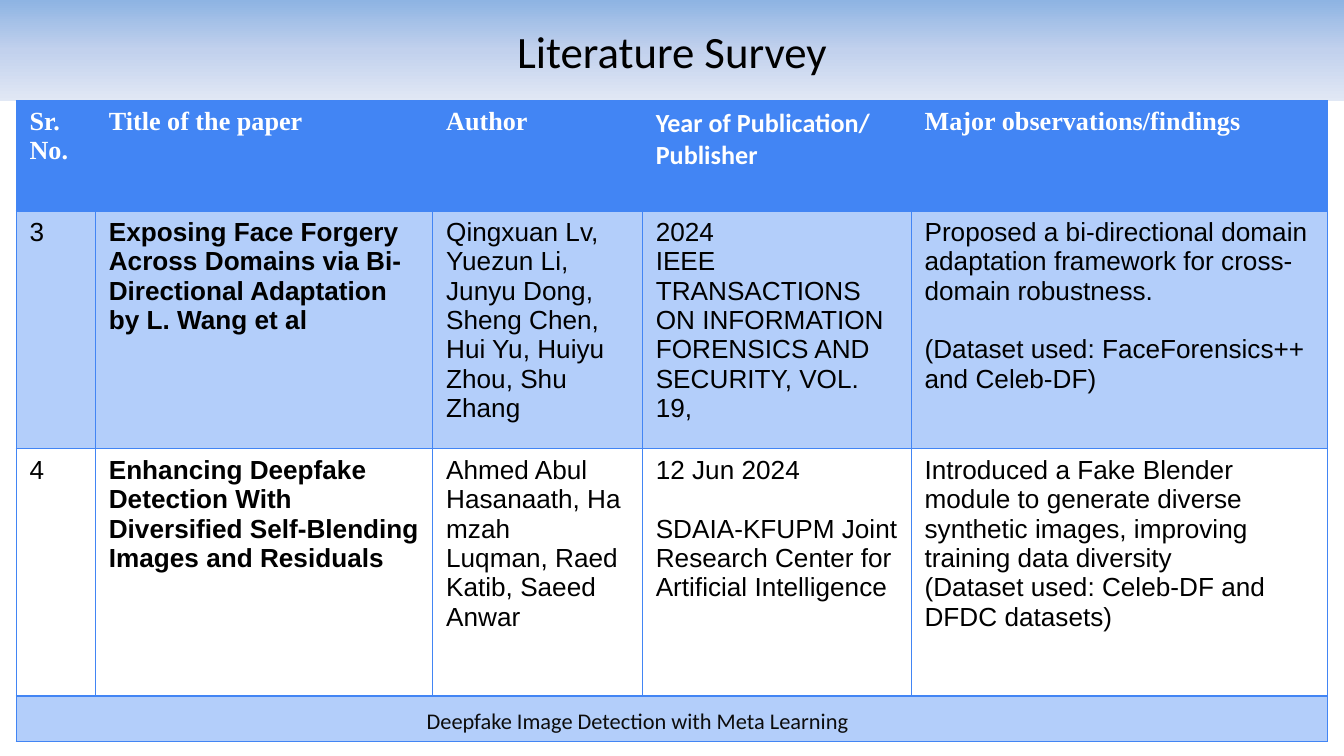
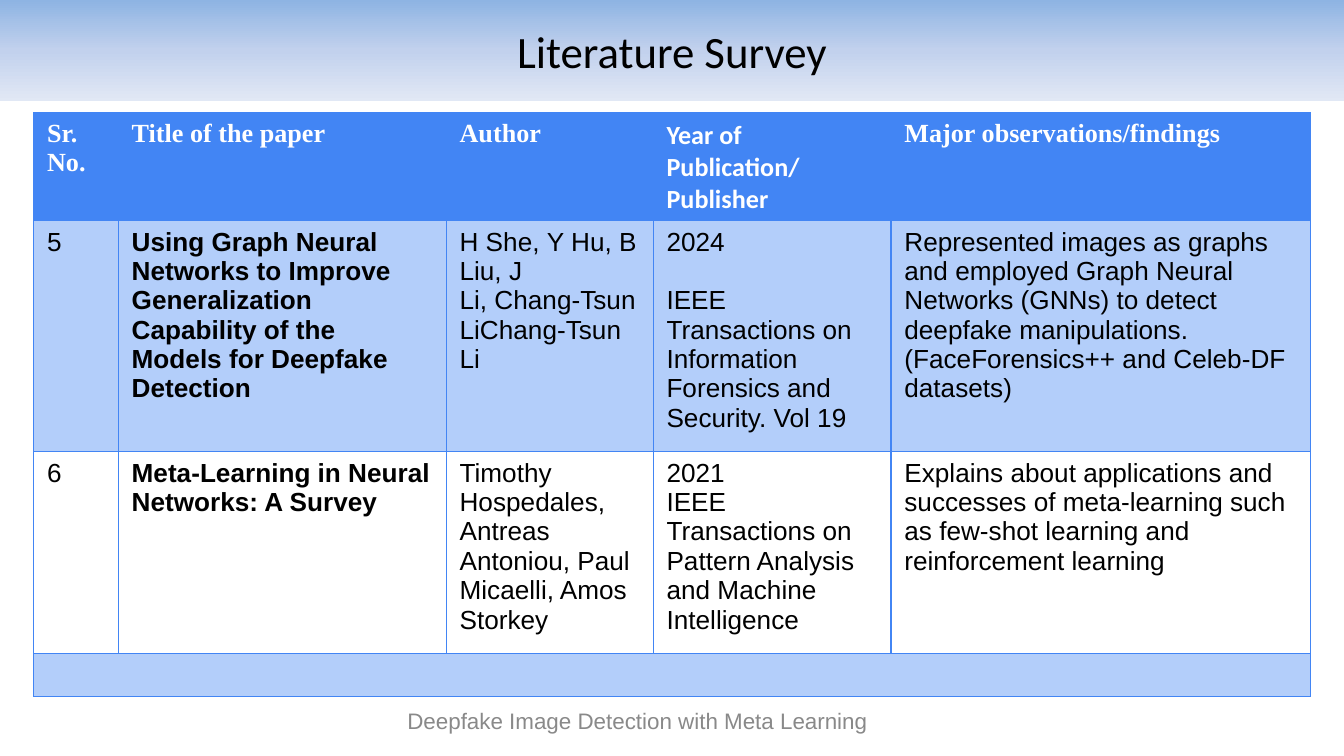
from copy import deepcopy

from lxml import etree
from pptx import Presentation, util as u
from pptx.dml import color
from pptx.enum import shapes, text
from pptx.oxml import ns

BLUE, BLACK, WHITE = "4285F4", "000000", "FFFFFF"
BAND_STOPS = [(0, "8EB4E3"), (0.5, "C2D1ED"), (1, "E1E8F5")]
BAND_OPACITY = 40
BODY_SIZE = 14
BLANK_LINE = 15.75
HEADERS = [
    ("Sr. No.", "Times New Roman"),
    ("Title of the paper", "Times New Roman"),
    ("Author", "Times New Roman"),
    ("Year of Publication/ Publisher", "Calibri"),
    ("Major observations/findings", "Times New Roman"),
]
TITLE_COLUMN = 1
NO_BREAK_SPACE = chr(160)

SURVEYS = [
    {
        "left": 0.12,
        "top": 0.75,
        "columns": [0.59, 2.51, 1.56, 2, 3.1],
        "rows": [0.82, 1.77, 1.84, 0.34],
        "footer": ("Calibri", "0C0C0C"),
        "papers": [
            [
                "3",
                "Exposing Face Forgery Across Domains via Bi-Directional Adaptation by L. Wang et al",
                "Qingxuan Lv, Yuezun Li, Junyu Dong, Sheng Chen, Hui Yu, Huiyu Zhou, Shu Zhang",
                "2024\nIEEE TRANSACTIONS ON INFORMATION FORENSICS AND SECURITY, VOL. 19,",
                "Proposed a bi-directional domain adaptation framework for cross-domain robustness."
                "\n\n(Dataset used: FaceForensics++ and Celeb-DF)",
            ],
            [
                "4",
                "Enhancing Deepfake Detection With Diversified Self-Blending Images and Residuals",
                NO_BREAK_SPACE.join(
                    ["Ahmed Abul Hasanaath,", "Hamzah Luqman,", "Raed Katib,", "Saeed Anwar"]
                ),
                "12 Jun 2024\n\nSDAIA-KFUPM Joint Research Center for Artificial Intelligence",
                "Introduced a Fake Blender module to generate diverse synthetic images, "
                "improving training data diversity\n(Dataset used: Celeb-DF and DFDC datasets)",
            ],
        ],
    },
    {
        "left": 0.25,
        "top": 0.84,
        "columns": [0.63, 2.44, 1.54, 1.77, 3.12],
        "rows": [0.69, 1.3, 1.3, 0.32],
        "footer": ("Arial", "898989"),
        "papers": [
            [
                "5",
                "Using Graph Neural Networks to Improve Generalization Capability "
                "of the Models for Deepfake Detection",
                NO_BREAK_SPACE.join(
                    ["H She,", "Y Hu,", "B Liu,", "J Li,", "Chang-Tsun LiChang-Tsun Li"]
                ),
                "2024\n\nIEEE Transactions on Information Forensics and Security. Vol 19",
                "Represented images as graphs and employed Graph Neural Networks (GNNs) "
                "to detect deepfake manipulations.\n(FaceForensics++ and Celeb-DF datasets)",
            ],
            [
                "6",
                "Meta-Learning in Neural Networks: A Survey",
                "Timothy Hospedales, Antreas Antoniou, Paul Micaelli, Amos Storkey",
                "2021\nIEEE Transactions on Pattern Analysis and Machine Intelligence",
                "Explains about applications and successes of meta-learning "
                "such as few-shot learning and reinforcement learning",
            ],
        ],
    },
]


def rgb(hex_string):
    return color.RGBColor.from_string(hex_string)


def add_run(paragraph, words, font, size, hex_color, bold=False):
    run = paragraph.add_run()
    run.text = words
    run.font.name = font
    run.font.size = u.Pt(size)
    run.font.bold = bold
    run.font.color.rgb = rgb(hex_color)


def write_centred(shape, words, font, size, hex_color):
    frame = shape.text_frame
    frame.word_wrap = True
    frame.vertical_anchor = text.MSO_ANCHOR.MIDDLE
    paragraph = frame.paragraphs[0]
    paragraph.alignment = text.PP_ALIGN.CENTER
    add_run(paragraph, words, font, size, hex_color)


def add_title_band(slide, words):
    band = slide.shapes.add_shape(
        shapes.MSO_SHAPE.RECTANGLE, 0, 0, u.Inches(10), u.Inches(0.75)
    )
    band.shadow.inherit = False
    band.line.fill.background()
    band.fill.gradient()
    band.fill.gradient_angle = 270
    stop_list = band.element.spPr.find(".//" + ns.qn("a:gsLst"))
    stop_list.append(deepcopy(stop_list[0]))
    for stop, (position, hex_color) in zip(band.fill.gradient_stops, BAND_STOPS):
        stop.position = position
        stop.color.rgb = rgb(hex_color)
    write_centred(band, words, "Calibri", 24, BLACK)


def add_footer(slide, words, font, hex_color):
    box = slide.shapes.add_textbox(
        u.Inches(0.82), u.Inches(5.21), u.Inches(7.85), u.Inches(0.3)
    )
    write_centred(box, words, font, 12, hex_color)


def set_borders(cell):
    properties = cell._tc.get_or_add_tcPr()
    for index, side in enumerate(("lnL", "lnR", "lnT", "lnB")):
        line = etree.Element(ns.qn(f"a:{side}"), w=str(u.Pt(0.75)))
        fill = etree.SubElement(line, ns.qn("a:solidFill"))
        etree.SubElement(fill, ns.qn("a:srgbClr"), val=BLUE)
        properties.insert(index, line)


def fill_cell(cell, opacity):
    """Fill with blue at a percentage; zero leaves the cell clear."""
    if not opacity:
        cell.fill.background()
        return
    cell.fill.solid()
    cell.fill.fore_color.rgb = rgb(BLUE)
    if opacity < 100:
        tint = cell._tc.tcPr.find(ns.qn("a:solidFill"))[0]
        etree.SubElement(tint, ns.qn("a:alpha"), val=str(opacity * 1000))


def write_cell(cell, words, font, hex_color, bold):
    """Write one paragraph a line; a double break becomes paragraph spacing."""
    paragraph = cell.text_frame.paragraphs[0]
    for block_index, block in enumerate(words.split("\n\n")):
        for line_index, line in enumerate(block.split("\n")):
            if block_index or line_index:
                paragraph = cell.text_frame.add_paragraph()
            if block_index and not line_index:
                paragraph.space_before = u.Pt(BLANK_LINE)
            add_run(paragraph, line, font, BODY_SIZE, hex_color, bold)


def add_survey_table(slide, survey):
    widths, heights = survey["columns"], survey["rows"]
    table = slide.shapes.add_table(
        len(heights),
        len(widths),
        u.Inches(survey["left"]),
        u.Inches(survey["top"]),
        u.Inches(sum(widths)),
        u.Inches(sum(heights)),
    ).table
    table.first_row = table.horz_banding = False
    for column, width in zip(table.columns, widths):
        column.width = u.Inches(width)
    for row, height, opacity in zip(table.rows, heights, (100, BAND_OPACITY, 0, BAND_OPACITY)):
        row.height = u.Inches(height)
        for cell in row.cells:
            fill_cell(cell, opacity)
            set_borders(cell)

    for index, (words, font) in enumerate(HEADERS):
        write_cell(table.cell(0, index), words, font, WHITE, True)
    for row_index, paper in enumerate(survey["papers"], start=1):
        for index, words in enumerate(paper):
            write_cell(table.cell(row_index, index), words, "Arial", BLACK, index == TITLE_COLUMN)

    last_row = len(heights) - 1
    for cell in table.rows[last_row].cells:
        cell.margin_top = cell.margin_bottom = u.Inches(0.01)
    table.cell(last_row, 0).merge(table.cell(last_row, len(widths) - 1))


def main():
    presentation = Presentation()
    presentation.slide_width = u.Inches(10)
    presentation.slide_height = presentation.slide_width * 9 // 16
    for survey in SURVEYS:
        slide = presentation.slides.add_slide(presentation.slide_layouts[6])
        add_title_band(slide, "Literature Survey")
        add_survey_table(slide, survey)
        add_footer(slide, "Deepfake Image Detection with Meta Learning", *survey["footer"])
    presentation.save("out.pptx")


if __name__ == "__main__":
    main()
